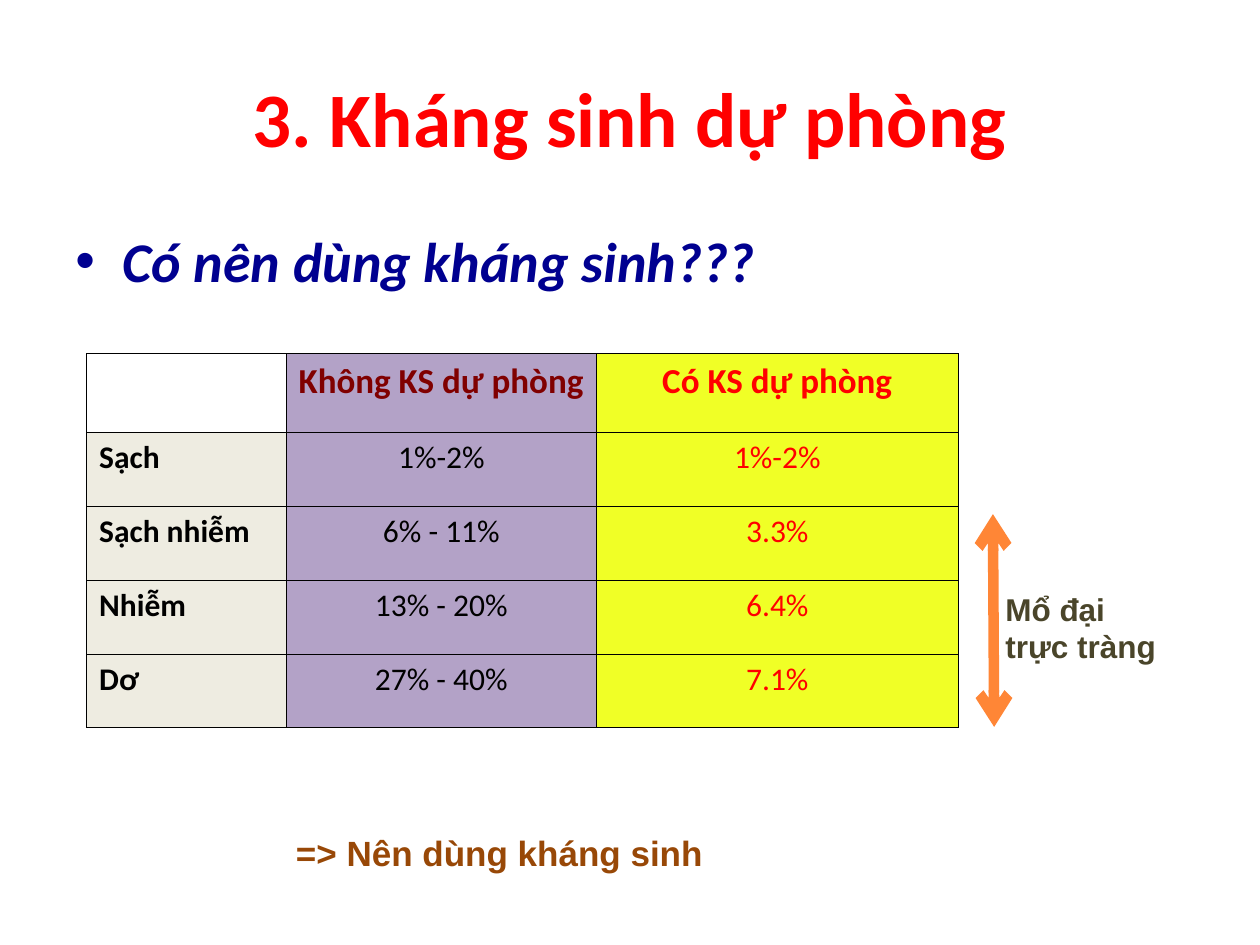
"""Build the slide on prophylactic antibiotics with its infection-rate table."""
from lxml.etree import SubElement
from pptx import Presentation
from pptx.dml.color import RGBColor
from pptx.enum.shapes import MSO_CONNECTOR
from pptx.enum.text import MSO_ANCHOR, PP_ALIGN
from pptx.oxml import parse_xml
from pptx.oxml.ns import nsdecls, qn
from pptx.util import Pt

COLORS = {
    "red": "FF0000", "navy": "000090", "maroon": "800000", "black": "000000",
    "purple": "B3A2C7", "yellow": "F0FF26", "cream": "EEECE1",
    "orange": "FF6600", "olive": "4A452A", "brown": "984807",
}


def write(frame, text, size, color, font="Calibri", bold=True, align=PP_ALIGN.LEFT):
    paragraph = frame.paragraphs[0]
    paragraph.alignment = align
    run = paragraph.add_run()
    run.text = text
    run.font.size, run.font.name, run.font.bold = Pt(size), font, bold
    run.font.color.rgb = RGBColor.from_string(COLORS[color])
    return paragraph


def add_text(left, top, width, height, *content):
    frame = slide.shapes.add_textbox(Pt(left), Pt(top), Pt(width), Pt(height)).text_frame
    frame.word_wrap = True
    return write(frame, *content)


prs = Presentation()
prs.slide_width, prs.slide_height = Pt(720), Pt(540)
slide = prs.slides.add_slide(prs.slide_layouts[5])

title = slide.shapes.title
title.left, title.top, title.width, title.height = Pt(36), Pt(21.6), Pt(648), Pt(90)
title.text_frame.vertical_anchor = MSO_ANCHOR.MIDDLE
write(title.text_frame, "3. Kháng sinh dự phòng", 44, "red", align=PP_ALIGN.CENTER)

question = add_text(36, 126, 648, 356.4, "Có nên dùng kháng sinh???", 32, "navy")
question.space_before = Pt(8)
question.runs[0].font.italic = True
bullet = question._p.get_or_add_pPr()
bullet.set("marL", str(Pt(27)))
bullet.set("indent", str(Pt(-27)))
bullet_color = SubElement(bullet, qn("a:buClr"))
SubElement(bullet_color, qn("a:srgbClr"), val=COLORS["navy"])
SubElement(bullet, qn("a:buFont"), typeface="Arial")
SubElement(bullet, qn("a:buChar"), char="•")

rates = [
    ("", "Không KS dự phòng", "Có KS dự phòng"),
    ("Sạch", "1%-2%", "1%-2%"),
    ("Sạch nhiễm", "6% - 11%", "3.3%"),
    ("Nhiễm", "13% - 20%", "6.4%"),
    ("Dơ", "27% - 40%", "7.1%"),
]
column_widths = [114, 177.5, 206.5]
column_fills = ["cream", "purple", "yellow"]
column_inks = ["black", "black", "red"]
header_inks = ["black", "maroon", "red"]

table = slide.shapes.add_table(5, 3, Pt(49.5), Pt(202), Pt(498), Pt(214)).table
for column, width in zip(table.columns, column_widths):
    column.width = Pt(width)
for r, values in enumerate(rates):
    header = r == 0
    table.rows[r].height = Pt(45.2 if header else 42.2)
    for c, value in enumerate(values):
        cell = table.cell(r, c)
        if value:
            cell.fill.solid()
            cell.fill.fore_color.rgb = RGBColor.from_string(COLORS[column_fills[c]])
            centred = c == 2 or (c == 1 and not header)
            write(cell.text_frame, value, 20 if header else 18,
                  (header_inks if header else column_inks)[c],
                  bold=header or c == 0,
                  align=PP_ALIGN.CENTER if centred else PP_ALIGN.LEFT)
        else:
            cell.fill.background()
        for i, side in enumerate(("lnL", "lnR", "lnT", "lnB")):
            cell._tc.get_or_add_tcPr().insert(i, parse_xml(
                f'<a:{side} {nsdecls("a")} w="{Pt(0.45)}"><a:solidFill>'
                f'<a:srgbClr val="{COLORS["black"]}"/></a:solidFill></a:{side}>'))

span = slide.shapes.add_connector(
    MSO_CONNECTOR.STRAIGHT, Pt(567.4), Pt(293.8), Pt(568.1), Pt(415.4))
span.line.width = Pt(6)
span.line.color.rgb = RGBColor.from_string(COLORS["orange"])
stroke = span.line._get_or_add_ln()
SubElement(stroke.find(".//" + qn("a:srgbClr")), qn("a:alpha"), val="79000")
for end in ("a:headEnd", "a:tailEnd"):
    SubElement(stroke, qn(end), type="arrow")
SubElement(span._element.spPr, qn("a:effectLst"))

add_text(567.4, 333.4, 108.7, 50.4, "Mổ đại trực tràng", 18, "olive", "Arial")
add_text(162, 471.6, 378, 31.7, "=> Nên dùng kháng sinh", 20, "brown", "Arial")

prs.save("out.pptx")
